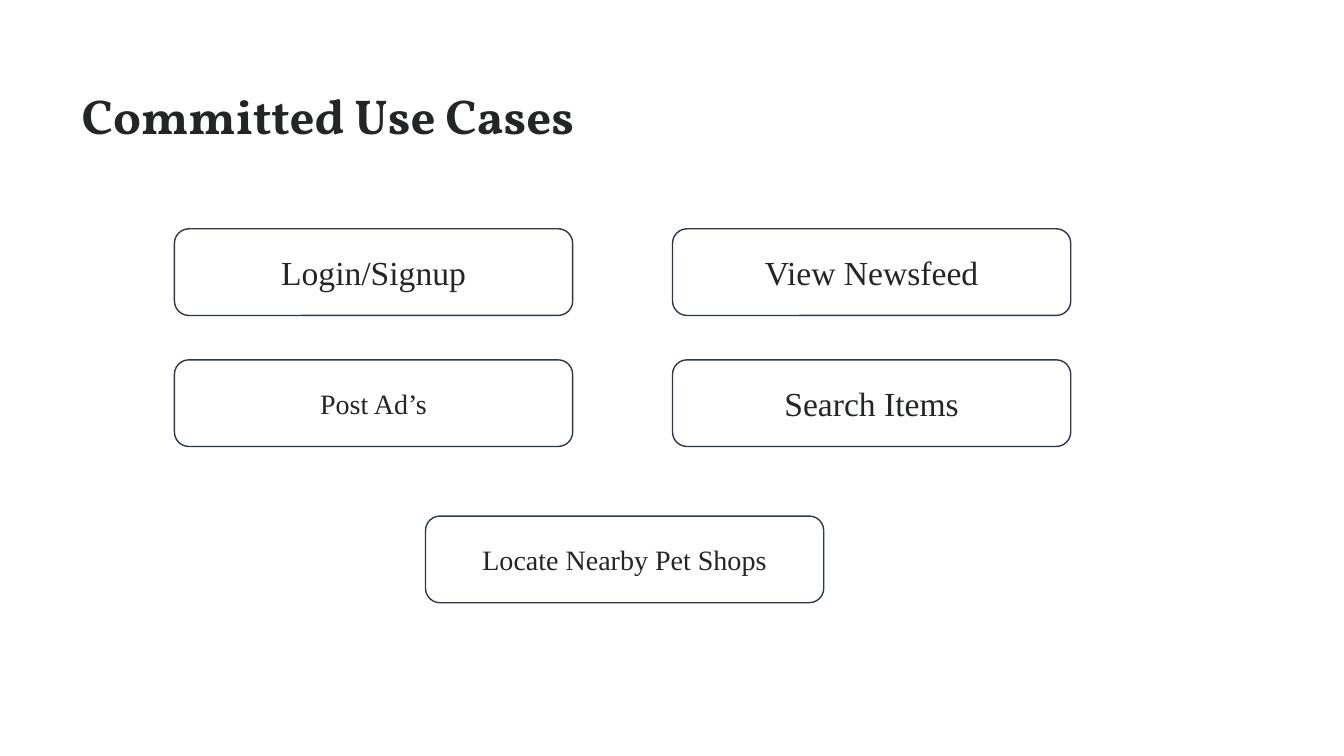
from pptx import Presentation
from pptx import util as u
from pptx.dml.color import RGBColor
from pptx.enum import shapes, text

COLORS = {"ink": "242527", "outline": "2D374C", "paper": "FFFFFF"}


def write(frame, words, size, font="Times New Roman", bold=False,
          align=text.PP_ALIGN.CENTER, anchor=text.MSO_ANCHOR.MIDDLE):
    frame.word_wrap = True
    frame.vertical_anchor = anchor
    line = frame.paragraphs[0]
    line.alignment = align
    run = line.add_run()
    run.text = words
    run.font.name = font
    run.font.size = u.Pt(size)
    run.font.bold = bold
    run.font.color.rgb = RGBColor.from_string(COLORS["ink"])


deck = Presentation()
deck.slide_width = u.Inches(13.33)
deck.slide_height = u.Inches(7.5)
slide = deck.slides.add_slide(deck.slide_layouts[5])
slide.background.fill.solid()
slide.background.fill.fore_color.rgb = RGBColor.from_string(COLORS["paper"])

heading = slide.shapes.title
heading.left, heading.top = u.Inches(0.71), u.Inches(0.8)
heading.width, heading.height = u.Inches(5.37), u.Inches(0.69)
write(heading.text_frame, "Committed Use Cases", 35, font="Vollkorn", bold=True,
      align=text.PP_ALIGN.LEFT, anchor=text.MSO_ANCHOR.TOP)
heading.text_frame.auto_size = text.MSO_AUTO_SIZE.NONE

LEFT, RIGHT, CENTER = 1.73, 6.67, 4.22
ROWS = [2.27, 3.57, 5.12]
use_cases = [
    ("Login/Signup", LEFT, ROWS[0], 24),
    ("Post Ad’s", LEFT, ROWS[1], 20),
    ("View Newsfeed", RIGHT, ROWS[0], 24),
    ("Search Items", RIGHT, ROWS[1], 24),
    ("Locate Nearby Pet Shops", CENTER, ROWS[2], 20),
]
for label, left, top, size in use_cases:
    use_case = slide.shapes.add_shape(
        shapes.MSO_SHAPE.ROUNDED_RECTANGLE,
        u.Inches(left), u.Inches(top), u.Inches(3.95), u.Inches(0.86))
    use_case.shadow.inherit = False
    use_case.fill.solid()
    use_case.fill.fore_color.rgb = RGBColor.from_string(COLORS["paper"])
    use_case.line.color.rgb = RGBColor.from_string(COLORS["outline"])
    use_case.line.width = u.Pt(1)
    write(use_case.text_frame, label, size)

deck.save("out.pptx")
